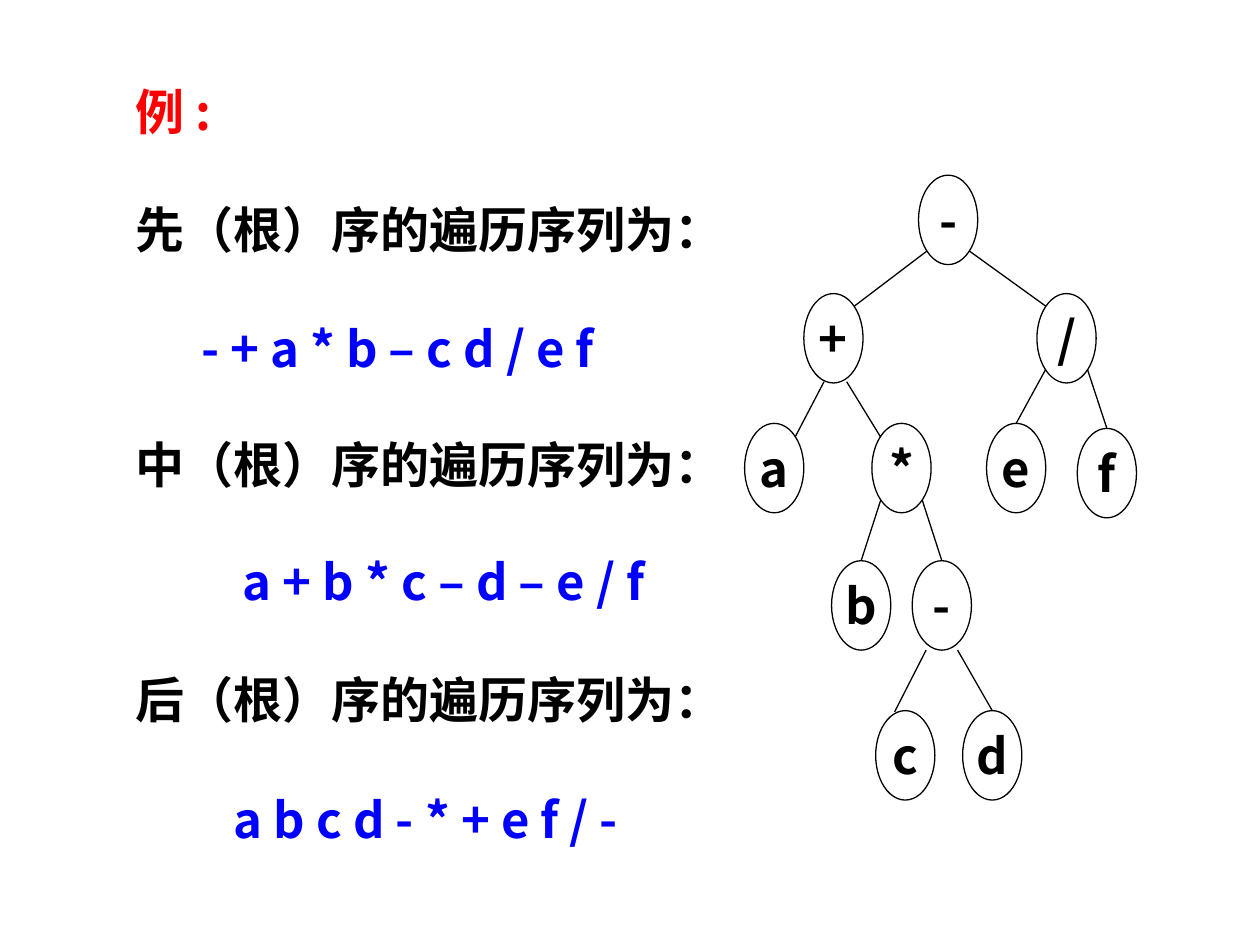
from dataclasses import dataclass

from lxml.etree import SubElement
from pptx import Presentation
from pptx.dml.color import RGBColor
from pptx.enum.shapes import MSO_CONNECTOR, MSO_SHAPE
from pptx.enum.text import MSO_ANCHOR, MSO_AUTO_SIZE, PP_ALIGN
from pptx.oxml.ns import qn
from pptx.util import Inches, Pt

CELL = Inches(0.1)  # the slide is a grid of 100 columns by 75 rows


@dataclass(frozen=True)
class Theme:
    font: str = "Noto Sans CJK SC"
    size: Pt = Pt(28)
    line: Pt = Pt(0.75)
    tight: Pt = Pt(33.6)  # single line pitch
    lead: Pt = Pt(67.2)  # double line pitch
    ink: RGBColor = RGBColor(0, 0, 0)
    title: RGBColor = RGBColor(255, 0, 0)
    answer: RGBColor = RGBColor(0, 0, 255)


@dataclass(frozen=True)
class Node:
    sign: str
    col: float
    row: float


@dataclass(frozen=True)
class Edge:
    """A branch; out and into are offsets from the top middle of each node."""
    parent: str
    child: str
    out: tuple[float, float]
    into: tuple[float, float] = (0, 0)


@dataclass(frozen=True)
class Answer:
    text: str
    col: float
    row: float
    wide: float
    high: float
    wrap: bool = False


THEME = Theme()
NODE_W, NODE_H = 4.7, 7.1
SIDE = 1.65

HEADS = ["例 :", "先（根）序的遍历序列为：", "中（根）序的遍历序列为：", "后（根）序的遍历序列为："]
ANSWERS = [
    Answer("- + a * b – c d / e f", 14.4, 20.1, 34.3, 10.4),
    Answer("a + b * c – d – e / f", 11.7, 43.3, 47, 5.7, wrap=True),
    Answer("a b c d - * + e f / -", 17, 57.5, 33.6, 10.4),
]
NODES = {
    "root": Node("-", 72.9, 13.9),
    "plus": Node("+", 63.8, 23.3),
    "over": Node("/", 82.3, 23.3),
    "a": Node("a", 59.1, 33.6),
    "times": Node("*", 69.2, 33.6),
    "e": Node("e", 78.3, 33.6),
    "f": Node("f", 85.5, 34),
    "b": Node("b", 66, 44.5),
    "minus": Node("-", 72.4, 44.5),
    "c": Node("c", 69.5, 56.4),
    "d": Node("d", 76.4, 56.4),
}
EDGES = [
    Edge("root", "plus", (-SIDE, 6), (SIDE, 1)),
    Edge("root", "over", (SIDE, 6), (-SIDE, 1)),
    Edge("plus", "a", (-0.75, 7), (SIDE, 1.1)),
    Edge("plus", "times", (1.05, 7), (-SIDE, 1.1)),
    Edge("over", "e", (-SIDE, 6)),
    Edge("over", "f", (SIDE, 6)),
    Edge("times", "b", (-SIDE, 6.1)),
    Edge("times", "minus", (SIDE, 6.1)),
    Edge("minus", "c", (-1.25, 7.1), (-0.85, 0.1)),
    Edge("minus", "d", (1.25, 7.1)),
]


def cells(*nums: float) -> list[int]:
    return [round(num * CELL) for num in nums]


def style(para, color: RGBColor) -> None:
    for run in para.runs:
        font = run.font
        font.name, font.size, font.bold = THEME.font, THEME.size, True
        font.color.rgb = color
        SubElement(font._element, qn("a:ea"), typeface=THEME.font)


def draw_heads(slide) -> None:
    frame = slide.shapes.add_textbox(*cells(9.8, 6, 50.4, 52.4)).text_frame
    frame.word_wrap = True
    frame.text = "\n".join(HEADS)
    for rank, para in enumerate(frame.paragraphs):
        para.line_spacing = THEME.lead if rank else THEME.tight
        if rank > 1:
            para.space_before = THEME.lead
        style(para, THEME.ink if rank else THEME.title)


def draw_answer(slide, item: Answer) -> None:
    box = slide.shapes.add_textbox(*cells(item.col, item.row, item.wide, item.high))
    frame = box.text_frame
    frame.word_wrap = item.wrap
    frame.auto_size = MSO_AUTO_SIZE.NONE
    frame.text = item.text
    para = frame.paragraphs[0]
    para.alignment = PP_ALIGN.CENTER
    para.line_spacing = THEME.tight if item.wrap else THEME.lead
    style(para, THEME.answer)


def draw_node(tree, node: Node) -> None:
    oval = tree.shapes.add_shape(
        MSO_SHAPE.OVAL, *cells(node.col, node.row, NODE_W, NODE_H))
    oval.shadow.inherit = False
    oval.fill.background()
    oval.line.color.rgb, oval.line.width = THEME.ink, THEME.line
    frame = oval.text_frame
    frame.word_wrap = False
    frame.vertical_anchor = MSO_ANCHOR.MIDDLE
    frame.text = node.sign
    frame.paragraphs[0].alignment = PP_ALIGN.CENTER
    style(frame.paragraphs[0], THEME.ink)


def spot(name: str, shift: tuple[float, float]) -> list[int]:
    node = NODES[name]
    return cells(node.col + NODE_W / 2 + shift[0], node.row + shift[1])


def draw_edge(tree, edge: Edge) -> None:
    line = tree.shapes.add_connector(
        MSO_CONNECTOR.STRAIGHT,
        *spot(edge.parent, edge.out), *spot(edge.child, edge.into))
    line.line.color.rgb, line.line.width = THEME.ink, THEME.line
    SubElement(line._element.spPr, qn("a:effectLst"))


def main() -> None:
    deck = Presentation()
    deck.slide_width, deck.slide_height = cells(100, 75)
    slide = deck.slides.add_slide(deck.slide_layouts[6])
    draw_heads(slide)
    tree = slide.shapes.add_group_shape()
    for node in NODES.values():
        draw_node(tree, node)
    for edge in EDGES:
        draw_edge(tree, edge)
    for item in ANSWERS:
        draw_answer(slide, item)
    deck.save("out.pptx")


if __name__ == "__main__":
    main()
